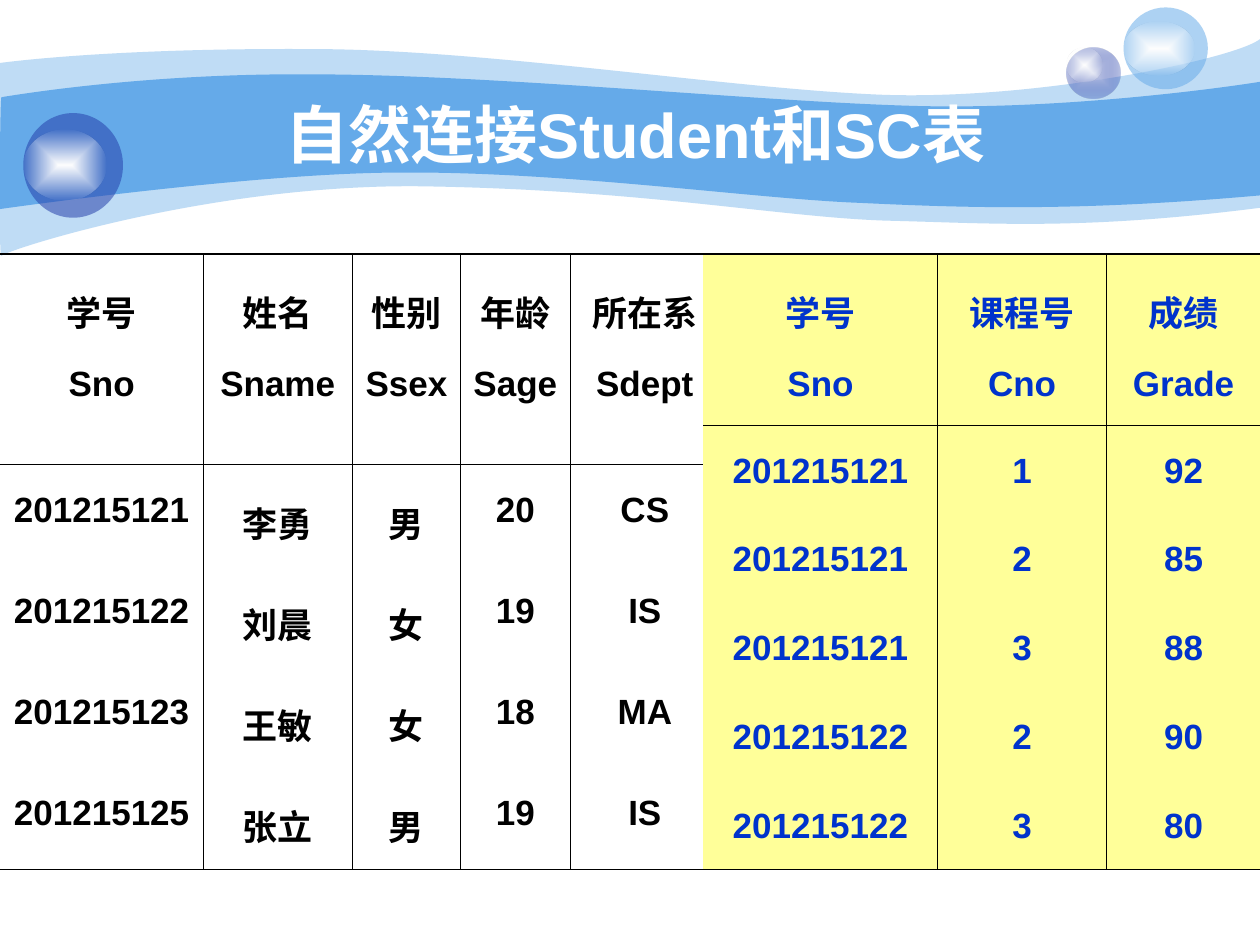
import dataclasses
import typing

import lxml.etree
import pptx
import pptx.dml.color
import pptx.enum.shapes
import pptx.enum.text
import pptx.oxml.ns
import pptx.util

Cm = pptx.util.Cm
Pt = pptx.util.Pt
qn = pptx.oxml.ns.qn

COLORS = {
    "sky": "65AAE9",
    "navy": "233DA9",
    "lavender": "C7CEE9",
    "white": "FFFFFF",
    "black": "000000",
    "blue": "0033CC",
    "yellow": "FFFF99",
}
FONT = {"name": "Arial", "bold": True}
CENTER = {"alignment": pptx.enum.text.PP_ALIGN.CENTER}
CELL_PARAGRAPH = {**CENTER, "line_spacing": 1.5}
TITLE_FRAME = {"word_wrap": True, "vertical_anchor": pptx.enum.text.MSO_ANCHOR.MIDDLE}
THIN, THICK = 0.45, 1.08


class Stop(typing.NamedTuple):
    """A colour name with its opacity in percent."""

    color: str
    opacity: int = 100


class Box(typing.NamedTuple):
    """Left, top, width and height in centimetres."""

    left: float
    top: float
    width: float
    height: float

    def lengths(self) -> list:
        """Return the four values as lengths."""
        return [Cm(v) for v in self]


@dataclasses.dataclass
class Wave:
    """A closed outline of cubic curves (three points) and lines (one point)."""

    fill: Stop
    start: tuple
    segments: list


@dataclasses.dataclass
class Ball:
    """A coloured disc with a highlight; two stops make a gradient."""

    disc: Box
    glow: Box
    stops: list


@dataclasses.dataclass
class Relation:
    """A table of one relation."""

    left: float
    widths: list
    header_height: float
    row_height: float
    color: str
    fill: typing.Optional[str]
    rows: list


WAVES = [
    Wave(Stop("sky", 41), (0, 1.27), [
        [(0.61, 1.19), (2.72, 0.97), (6.27, 0.99)],
        [(9.8, 0.99), (14.61, 1.78), (17.75, 1.91)],
        [(20.88, 2.03), (24.89, 1.19), (25.4, 0.79)],
        [(25.4, 4.19)],
        [(21.79, 4.65), (19.99, 4.5), (17.91, 4.45)],
        [(15.8, 4.39), (13.08, 3.84), (8.71, 3.76)],
        [(4.37, 3.66), (0.1, 5.05), (0.03, 5.16)],
        [(-0.03, 5.28), (0, 1.91), (0, 1.27)],
    ]),
    Wave(Stop("sky"), (0.03, 1.96), [
        [(0.05, 1.96), (2.79, 1.47), (6.3, 1.5)],
        [(9.8, 1.5), (15.11, 2.03), (18.24, 2.13)],
        [(21.36, 2.24), (24.79, 1.75), (25.4, 1.65)],
        [(25.4, 3.94)],
        [(21.67, 4.27), (19.43, 4.19), (17.32, 4.09)],
        [(15.21, 4.01), (11.35, 3.45), (8.05, 3.48)],
        [(5.16, 3.48), (-0.05, 4.22), (-0.03, 4.22)],
        [(0, 4.22), (0, 1.96), (0.03, 1.96)],
    ]),
]
BALLS = [
    Ball(Box(21.51, 0.97, 1.07, 1.02), Box(21.51, 0.97, 0.71, 0.69),
         [Stop("lavender"), Stop("navy", 31)]),
    Ball(Box(22.65, 0.15, 1.7, 1.65), Box(22.65, 0.43, 1.42, 1.09), [Stop("sky", 53)]),
    Ball(Box(0.47, 2.28, 2.01, 2.11), Box(0.47, 2.62, 1.68, 1.42), [Stop("navy", 53)]),
]
GLOW = [Stop("white"), Stop("white", 0)]
TABLE_TOP = 5.12
STUDENT = Relation(0, [4.1, 3, 2.19, 2.2, 3.02], 4.25, 2.04, "black", None, [
    ["学号\nSno", "姓名\nSname", "性别\nSsex", "年龄\nSage", "所在系\nSdept"],
    ["201215121", "李勇", "男", "20", "CS"],
    ["201215122", "刘晨", "女", "19", "IS"],
    ["201215123", "王敏", "女", "18", "MA"],
    ["201215125", "张立", "男", "19", "IS"],
])
SC = Relation(14.18, [4.72, 3.41, 3.1], 3.46, 1.79, "blue", "yellow", [
    ["学号\nSno", "课程号\nCno", "成绩\nGrade"],
    ["201215121", "1", "92"],
    ["201215121", "2", "85"],
    ["201215121", "3", "88"],
    ["201215122", "2", "90"],
    ["201215122", "3", "80"],
])


def rgb(name: str) -> pptx.dml.color.RGBColor:
    """Return a named colour."""
    return pptx.dml.color.RGBColor.from_string(COLORS[name])


def apply(target: typing.Any, values: dict) -> None:
    """Set every attribute in values on target."""
    for key, value in values.items():
        setattr(target, key, value)


def add_color(parent: typing.Any, stop: Stop) -> None:
    """Append a colour with its opacity."""
    clr = lxml.etree.SubElement(parent, qn("a:srgbClr"), val=COLORS[stop.color])
    if stop.opacity < 100:
        lxml.etree.SubElement(clr, qn("a:alpha"), val=str(stop.opacity * 1000))


def paint(s: typing.Any, stops: list) -> None:
    """Fill a shape with one colour or a centred gradient, without line or shadow."""
    s.shadow.inherit = False
    s.line.fill.background()
    s.fill.background()
    blank = s._element.spPr.find(qn("a:noFill"))
    fill = lxml.etree.Element(qn("a:solidFill" if len(stops) == 1 else "a:gradFill"))
    if len(stops) == 1:
        add_color(fill, stops[0])
    else:
        gs_list = lxml.etree.SubElement(fill, qn("a:gsLst"))
        for pos, stop in zip((0, 100000), stops):
            add_color(lxml.etree.SubElement(gs_list, qn("a:gs"), pos=str(pos)), stop)
        shade = lxml.etree.SubElement(fill, qn("a:path"), path="rect")
        sides = dict.fromkeys("ltrb", "50000")
        lxml.etree.SubElement(shade, qn("a:fillToRect"), sides)
    blank.getparent().replace(blank, fill)


def draw_wave(shapes: typing.Any, wave: Wave) -> None:
    """Draw one wave, joining the three points of each curve into a cubic."""
    builder = shapes.build_freeform(*map(Cm, wave.start))
    points = [(Cm(x), Cm(y)) for seg in wave.segments for x, y in seg]
    builder.add_line_segments(points, close=True)
    s = builder.convert_to_shape()
    lines = iter(list(s._element.iter(qn("a:lnTo"))))
    for seg in wave.segments:
        first, *others = [next(lines) for _ in seg]
        if others:
            first.tag = qn("a:cubicBezTo")
        for line in others:
            first.append(line[0])
            line.getparent().remove(line)
    paint(s, [wave.fill])


def draw_ball(shapes: typing.Any, ball: Ball) -> None:
    """Draw a disc and its highlight as a group."""
    group = shapes.add_group_shape()
    for box, stops in ((ball.disc, ball.stops), (ball.glow, GLOW)):
        oval = pptx.enum.shapes.MSO_SHAPE.OVAL
        paint(group.shapes.add_shape(oval, *box.lengths()), stops)


def write(tf: typing.Any, text: str, size: int, color: str, layout: dict) -> None:
    """Write one paragraph for each line of text."""
    for i, line in enumerate(text.split("\n")):
        p = tf.add_paragraph() if i else tf.paragraphs[0]
        apply(p, {**layout, "space_before": Pt(5)} if i else layout)
        r = p.add_run()
        r.text = line
        apply(r.font, {**FONT, "size": Pt(size)})
        r.font.color.rgb = rgb(color)


def set_borders(cell: typing.Any, widths: dict) -> None:
    """Give each side a black line, or none where the width is zero."""
    for side, width in widths.items():
        tag = qn(f"a:ln{side}")
        ln = lxml.etree.SubElement(cell._tc.get_or_add_tcPr(), tag, w=str(int(Pt(width))))
        if width:
            add_color(lxml.etree.SubElement(ln, qn("a:solidFill")), Stop("black"))
        else:
            lxml.etree.SubElement(ln, qn("a:noFill"))


def draw_relation(shapes: typing.Any, rel: Relation) -> None:
    """Draw a relation as a table."""
    last_row, last_col = len(rel.rows) - 1, len(rel.widths) - 1
    heights = [rel.header_height] + [rel.row_height] * last_row
    box = Box(rel.left, TABLE_TOP, sum(rel.widths), sum(heights))
    table = shapes.add_table(last_row + 1, last_col + 1, *box.lengths()).table
    apply(table, {"first_row": False, "horz_banding": False})
    for col, width in zip(table.columns, rel.widths):
        col.width = Cm(width)
    for i, (row, height) in enumerate(zip(table.rows, heights)):
        row.height = Cm(height)
        for j, cell in enumerate(row.cells):
            set_borders(cell, {
                "L": THIN if j else 0,
                "R": THIN if j < last_col else 0,
                "T": {0: THICK, 1: THIN}.get(i, 0),
                "B": {0: THIN, last_row: THICK}.get(i, 0),
            })
            if rel.fill:
                cell.fill.solid()
                cell.fill.fore_color.rgb = rgb(rel.fill)
            else:
                cell.fill.background()
            write(cell.text_frame, rel.rows[i][j], 20, rel.color, CELL_PARAGRAPH)


def main() -> None:
    """Build the slide and save it."""
    prs = pptx.Presentation()
    apply(prs, {"slide_width": Cm(25.4), "slide_height": Cm(19.05)})
    shapes = prs.slides.add_slide(prs.slide_layouts[6]).shapes
    for wave in WAVES:
        draw_wave(shapes, wave)
    for ball in BALLS:
        draw_ball(shapes, ball)
    tf = shapes.add_textbox(*Box(2.55, 1.9, 20.52, 1.58).lengths()).text_frame
    apply(tf, TITLE_FRAME)
    write(tf, "自然连接Student和SC表", 36, "white", CENTER)
    for rel in (STUDENT, SC):
        draw_relation(shapes, rel)
    prs.save("out.pptx")


if __name__ == "__main__":
    main()
